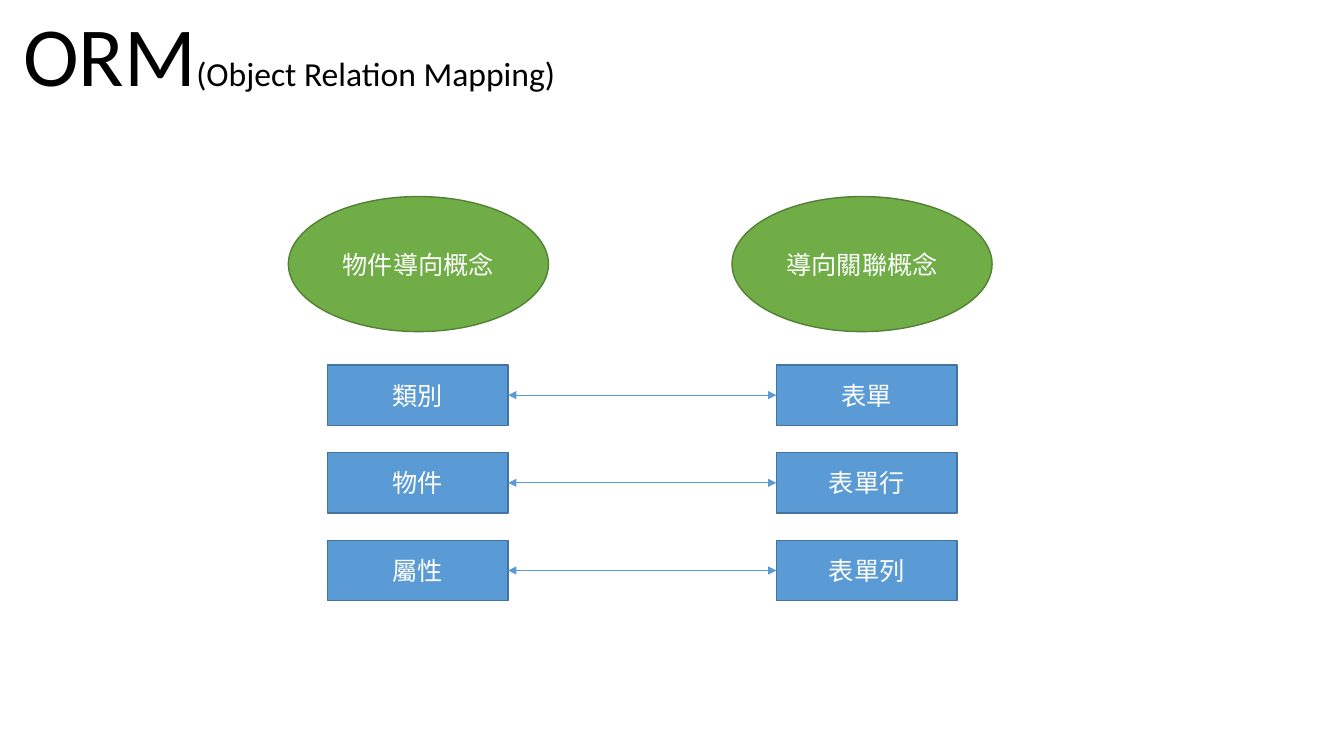
from lxml import etree
from pptx import Presentation
from pptx.dml.color import RGBColor
from pptx.enum.shapes import MSO_CONNECTOR, MSO_SHAPE
from pptx.enum.text import MSO_ANCHOR, MSO_AUTO_SIZE, PP_ALIGN
from pptx.oxml.ns import qn
from pptx.util import Inches, Pt

OVAL, RECT = MSO_SHAPE.OVAL, MSO_SHAPE.RECTANGLE
STRAIGHT = MSO_CONNECTOR.STRAIGHT
TOP, MIDDLE = MSO_ANCHOR.TOP, MSO_ANCHOR.MIDDLE
LEFT, CENTER = PP_ALIGN.LEFT, PP_ALIGN.CENTER
RIGHT_SIDE, LEFT_SIDE = 3, 1

GREEN, DARK_GREEN = "70AD47", "538035"
BLUE, DARK_BLUE = "5B9BD5", "43739E"


def add_text(paragraph, text, size=18, color="FFFFFF", align=CENTER):
    paragraph.alignment = align
    run = paragraph.add_run()
    run.text = text
    run.font.name = "Calibri"
    run.font.size = Pt(size)
    run.font.color.rgb = RGBColor.from_string(color)


def add_node(kind, text, left, top, width, height, fill, line):
    node = slide.shapes.add_shape(
        kind, Inches(left), Inches(top), Inches(width), Inches(height))
    node.shadow.inherit = False
    node.fill.solid()
    node.fill.fore_color.rgb = RGBColor.from_string(fill)
    node.line.color.rgb = RGBColor.from_string(line)
    node.line.width = Pt(1)
    node.text_frame.vertical_anchor = MIDDLE
    add_text(node.text_frame.paragraphs[0], text)
    return node


prs = Presentation()
prs.slide_width, prs.slide_height = Inches(13.33), Inches(7.5)
slide = prs.slides.add_slide(prs.slide_layouts[5])

# Title
title = slide.shapes.title
title.left, title.top = Inches(0.13), Inches(-0.03)
title.width, title.height = Inches(11.18), Inches(1.11)
title.text_frame.auto_size = MSO_AUTO_SIZE.NONE
title.text_frame.vertical_anchor = TOP
for words, size in (("ORM", 60), ("(Object Relation Mapping)", 24)):
    add_text(title.text_frame.paragraphs[0], words, size=size,
             color="000000", align=LEFT)

# Concept headings
for concept, left in (("物件導向概念", 2.86), ("導向關聯概念", 7.26)):
    add_node(OVAL, concept, left, 1.95, 2.58, 1.34, GREEN, DARK_GREEN)

# Rows of matching terms, joined by double arrows
object_left, table_left = 3.25, 7.7
first_top, row_pitch = 3.62, 0.87
term_pairs = (("類別", "表單"), ("物件", "表單行"), ("屬性", "表單列"))
for row, (object_term, table_term) in enumerate(term_pairs):
    top = first_top + row * row_pitch
    object_box, table_box = [
        add_node(RECT, term, left, top, 1.79, 0.6, BLUE, DARK_BLUE)
        for term, left in ((object_term, object_left), (table_term, table_left))]
    mapping = slide.shapes.add_connector(STRAIGHT, 0, 0, 0, 0)
    mapping.begin_connect(object_box, RIGHT_SIDE)
    mapping.end_connect(table_box, LEFT_SIDE)
    mapping.line.color.rgb = RGBColor.from_string(BLUE)
    mapping.line.width = Pt(0.5)
    for end in ("a:headEnd", "a:tailEnd"):
        etree.SubElement(mapping.line._get_or_add_ln(), qn(end), type="triangle")
    etree.SubElement(mapping._element.spPr, qn("a:effectLst"))

prs.save("out.pptx")
